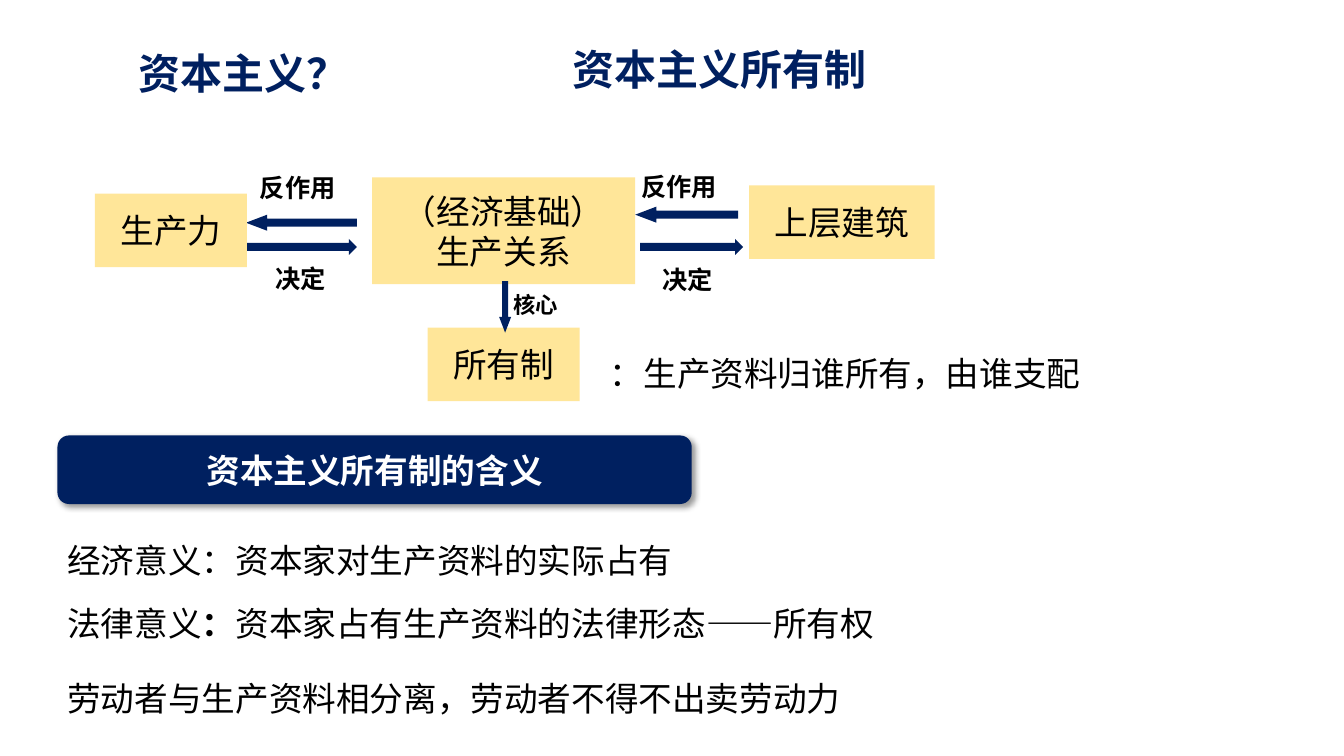
import pptx
import pptx.util
import pptx.dml.color
import pptx.enum.shapes
import pptx.enum.text
import pptx.oxml.ns
import lxml.etree

Inches = pptx.util.Inches
Pt = pptx.util.Pt
SHAPE = pptx.enum.shapes.MSO_SHAPE
ALIGN = pptx.enum.text.PP_ALIGN
COLORS = {"navy": "002060", "sand": "FFE699", "black": "000000", "white": "FFFFFF"}
CJK_FONT = "Noto Sans CJK SC"


def color(name):
    return pptx.dml.color.RGBColor.from_string(COLORS[name])


def write(frame, paragraphs, size=24, ink="black", bold=False, font="Arial",
          align=ALIGN.LEFT, line=None, before=None):
    """Each paragraph is a string or a list of (text, bold) spans."""
    frame.word_wrap = True
    for index, content in enumerate(paragraphs):
        para = frame.paragraphs[0] if index == 0 else frame.add_paragraph()
        para.alignment = align
        if line:
            para.line_spacing = line
        if before:
            para.space_before = Pt(before)
        spans = [(content, bold)] if isinstance(content, str) else content
        for text, strong in spans:
            span = para.add_run()
            span.text = text
            span.font.name = font
            span.font.size = Pt(size)
            span.font.bold = strong
            span.font.color.rgb = color(ink)
            # East Asian typeface
            east = lxml.etree.SubElement(span.font._element, pptx.oxml.ns.qn("a:ea"))
            east.set("typeface", CJK_FONT)


def add_text(page, box, paragraphs, grow=False, **style):
    frame = page.shapes.add_textbox(*map(Inches, box)).text_frame
    write(frame, paragraphs, **style)
    if grow:
        frame.auto_size = pptx.enum.text.MSO_AUTO_SIZE.SHAPE_TO_FIT_TEXT


def add_block(page, kind, box, fill):
    block = page.shapes.add_shape(kind, *map(Inches, box))
    block.shadow.inherit = False
    block.fill.solid()
    block.fill.fore_color.rgb = color(fill)
    block.line.fill.background()
    return block


def add_node(page, box, lines):
    node = add_block(page, SHAPE.RECTANGLE, box, "sand")
    node.text_frame.vertical_anchor = pptx.enum.text.MSO_ANCHOR.MIDDLE
    write(node.text_frame, lines, align=ALIGN.CENTER)


def add_arrow(page, kind, box, head):
    arrow = add_block(page, kind, box, "navy")
    arrow.adjustments[0] = 0.5
    arrow.adjustments[1] = head


def add_titles(page):
    for left, top, text in ((-2.58, 0.42, "资本主义？"), (2.14, 0.38, "资本主义所有制")):
        add_text(page, (left, top, 10, 0.61), [text], grow=True, size=30,
                 ink="navy", bold=True, align=ALIGN.CENTER)


def add_diagram(page, left, top):
    def at(x, y, width, height):
        return left + x, top + y, width, height

    # Arrow pairs: left, top of the upper one, left of the lower one, width
    for back, upper, forth, width in ((1.5, 0.37, 1.5, 1.1), (5.36, 0.29, 5.41, 1.02)):
        add_arrow(page, SHAPE.LEFT_ARROW, at(back, upper, width, 0.16), 1.32)
        add_arrow(page, SHAPE.RIGHT_ARROW, at(forth, 0.61, width, 0.16), 0.5)

    # Concepts
    for box, lines in (
        ((0, 0.16, 1.51, 0.73), ["生产力"]),
        ((2.75, 0, 2.61, 1.06), ["（经济基础）", "生产关系"]),
        ((6.49, 0.08, 1.84, 0.73), ["上层建筑"]),
        ((3.3, 1.49, 1.51, 0.73), ["所有制"]),
    ):
        add_node(page, at(*box), lines)
    add_arrow(page, SHAPE.DOWN_ARROW, at(4.01, 1.03, 0.12, 0.51), 1.31)

    # Arrow labels
    for x, y, width, text, size in (
        (1.54, -0.1, 1.34, "反作用", 18), (1.69, 0.8, 1.34, "决定", 18),
        (5.32, -0.11, 1.34, "反作用", 18), (5.53, 0.81, 1.34, "决定", 18),
        (4.05, 1.08, 1.2, "核心", 16),
    ):
        add_text(page, at(x, y, width, 0.4), [text], size=size, bold=True)

    # Definition beside the core concept
    add_text(page, at(5.01, 1.61, 5.26, 0.54), ["：生产资料归谁所有，由谁支配"],
             grow=True, align=ALIGN.JUSTIFY, line=1.2, before=14)


def add_meaning(page, left, top):
    # Banner with a soft shadow
    banner = add_block(page, SHAPE.ROUNDED_RECTANGLE, (left, top, 6.29, 0.68), "navy")
    effects = banner._element.spPr.find(pptx.oxml.ns.qn("a:effectLst"))
    shadow = lxml.etree.SubElement(
        effects, pptx.oxml.ns.qn("a:outerShdw"), blurRad=str(Pt(4)),
        dist=str(Pt(3)), dir="2700000", algn="tl", rotWithShape="0")
    tint = lxml.etree.SubElement(shadow, pptx.oxml.ns.qn("a:srgbClr"), val=COLORS["black"])
    lxml.etree.SubElement(tint, pptx.oxml.ns.qn("a:alpha"), val="40000")
    banner.text_frame.vertical_anchor = pptx.enum.text.MSO_ANCHOR.MIDDLE
    write(banner.text_frame, ["资本主义所有制的含义"], ink="white", bold=True,
          font=CJK_FONT, align=ALIGN.CENTER)

    # Explanations
    legal = [("法律意义", False), ("：", True),
             ("资本家占有生产资料的法律形态——所有权", False)]
    for drop, height, paragraphs in (
        (0.91, 1.17, ["经济意义：资本家对生产资料的实际占有", legal]),
        (2.28, 0.54, ["劳动者与生产资料相分离，劳动者不得不出卖劳动力"]),
    ):
        add_text(page, (left, top + drop, 9.65, height), paragraphs, grow=True,
                 align=ALIGN.JUSTIFY, line=1.2, before=10)


def main():
    deck = pptx.Presentation()
    deck.slide_width = Inches(13.33)
    deck.slide_height = Inches(7.5)
    page = deck.slides.add_slide(deck.slide_layouts[6])
    add_titles(page)
    add_diagram(page, 0.94, 1.76)
    add_meaning(page, 0.57, 4.32)
    deck.save("out.pptx")


if __name__ == "__main__":
    main()
